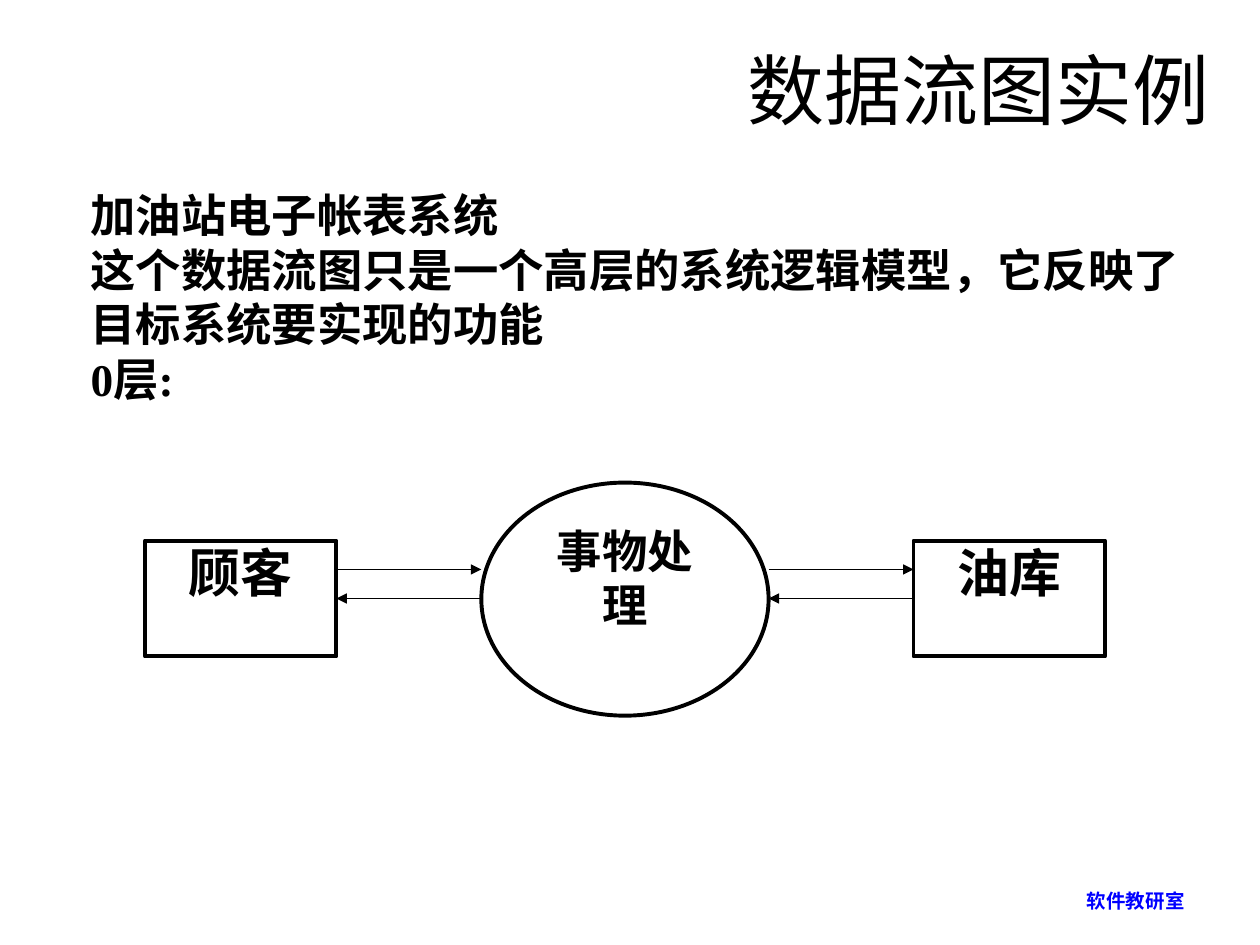
from pptx import Presentation
from pptx import util as u
from pptx.dml.color import RGBColor
from pptx.enum import shapes, text
from pptx.oxml.ns import qn
from lxml import etree

HUES = {"ink": "000000", "paper": "FFFFFF", "blue": "0000FF"}
SANS, SERIF = "Noto Sans CJK SC", "Times New Roman"
KIND, SIDE = shapes.MSO_SHAPE, text.PP_ALIGN
MID = text.MSO_ANCHOR.MIDDLE


def hue(name):
    return RGBColor.from_string(HUES[name])


class Deck:
    def __init__(self):
        self.prs = Presentation()
        self.prs.slide_width = u.Inches(10)
        self.prs.slide_height = u.Inches(7.5)
        self.slide = self.prs.slides.add_slide(self.prs.slide_layouts[6])
        self.pool = self.slide.shapes

    def fill(self, shape, paras, size, bold=True, tone="ink", align=SIDE.LEFT, **frame):
        body = shape.text_frame
        for key, val in {"word_wrap": True, **frame}.items():
            setattr(body, key, val)
        for num, runs in enumerate(paras):
            para = body.paragraphs[0] if num == 0 else body.add_paragraph()
            para.alignment = align
            for words, face in runs:
                run = para.add_run()
                run.text = words
                style = {"name": face, "size": u.Pt(size), "bold": bold}
                for key, val in style.items():
                    setattr(run.font, key, val)
                run.font.color.rgb = hue(tone)

    def label(self, box, paras, size, **style):
        self.fill(self.pool.add_textbox(*map(u.Inches, box)), paras, size, **style)

    def node(self, kind, box, words, size, **frame):
        shape = self.pool.add_shape(kind, *map(u.Inches, box))
        shape.shadow.inherit = False
        shape.fill.solid()
        shape.fill.fore_color.rgb = hue("paper")
        shape.line.color.rgb = hue("ink")
        shape.line.width = u.Pt(2.25)
        style = {"align": SIDE.CENTER, "vertical_anchor": text.MSO_ANCHOR.TOP}
        self.fill(shape, [[(words, SERIF)]], size, **style, **frame)
        return shape

    def arrow(self, start, end, y):
        ends = [u.Inches(val) for val in (start, y, end, y)]
        link = self.pool.add_connector(shapes.MSO_CONNECTOR.STRAIGHT, *ends)
        link.line.color.rgb = hue("ink")
        link.line.width = u.Pt(0.75)
        edge = link._element.spPr.find(qn("a:ln"))
        etree.SubElement(edge, qn("a:tailEnd"), type="triangle")
        etree.SubElement(link._element.spPr, qn("a:effectLst"))
        return link


def main():
    deck = Deck()
    deck.label((7.17, 6.95, 2.33, 0.4), [[("软件教研室", "Calibri")]], 11.1,
               tone="blue", align=SIDE.RIGHT, vertical_anchor=MID)
    deck.label((0.62, 1.44, 8.85, 1.84), [
        [("加油站电子帐表系统", SANS)],
        [("这个数据流图只是一个高层的系统逻辑模型，它反映了目标系统要实现的功能", SANS)],
        [("0", SERIF), ("层", SANS), (":", SERIF)],
    ], 25.9)
    deck.label((5.23, 0.41, 4.61, 0.58), [[("数据流图实例 ", SANS)]], 44,
               bold=False, align=SIDE.RIGHT, vertical_anchor=MID)

    inset = {"margin_left": u.Inches(0.07), "margin_right": u.Inches(0.07),
             "margin_top": 0, "margin_bottom": 0}
    buyer, depot = [deck.node(KIND.RECTANGLE, (x, 4.29, 1.52, 0.92), words, 29.6, **inset)
                    for x, words in ((1.15, "顾客"), (7.25, "油库"))]
    deck.node(KIND.OVAL, (3.82, 3.83, 2.28, 1.85), "事物处理", 25.9)

    for left, right in ((2.67, 3.82), (6.1, 7.25)):
        deck.arrow(left, right, 4.52)
    deck.arrow(3.82, 2.67, 4.75).end_connect(buyer, 3)
    deck.arrow(7.25, 6.1, 4.75).begin_connect(depot, 1)
    deck.prs.save("out.pptx")


if __name__ == "__main__":
    main()
